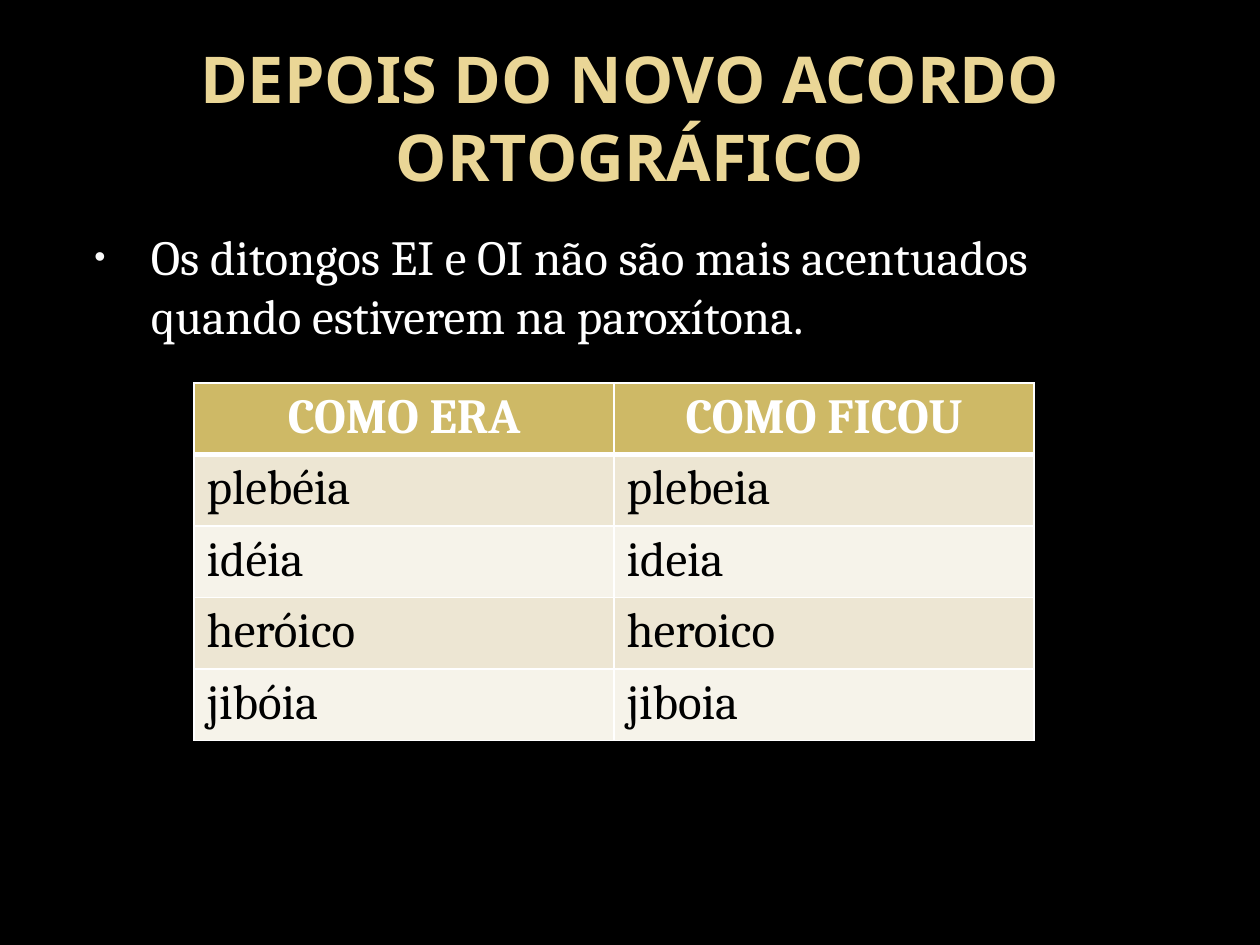
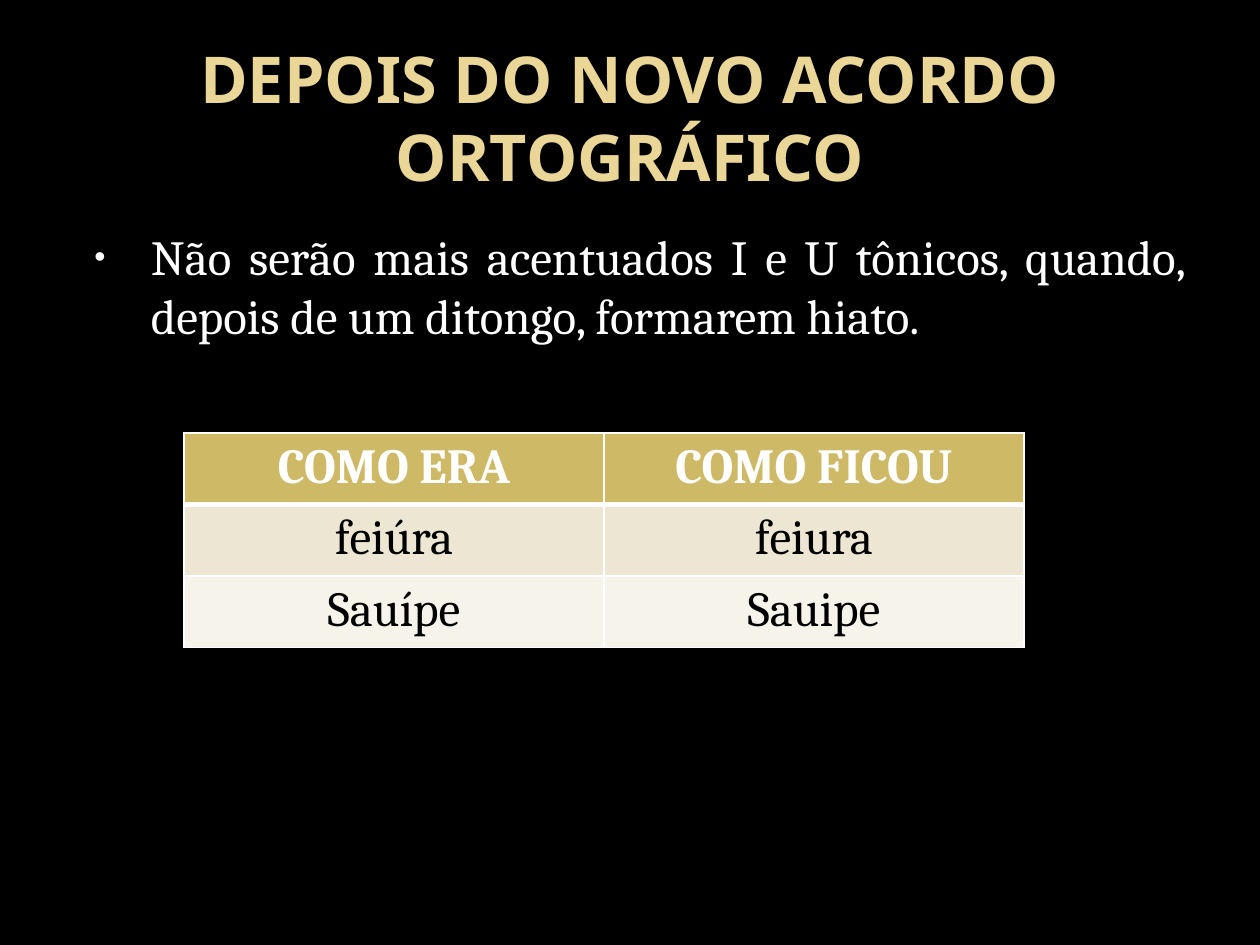
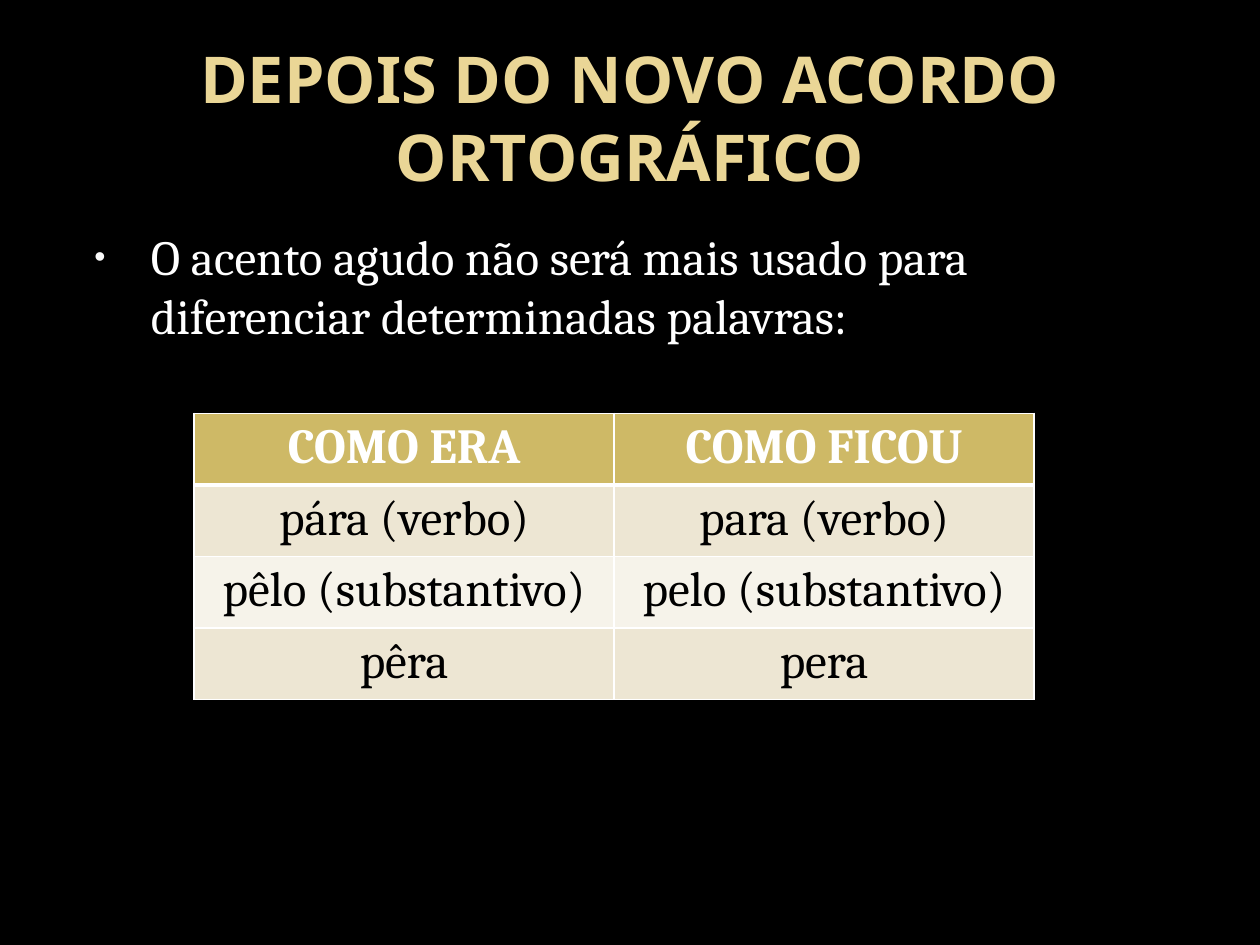
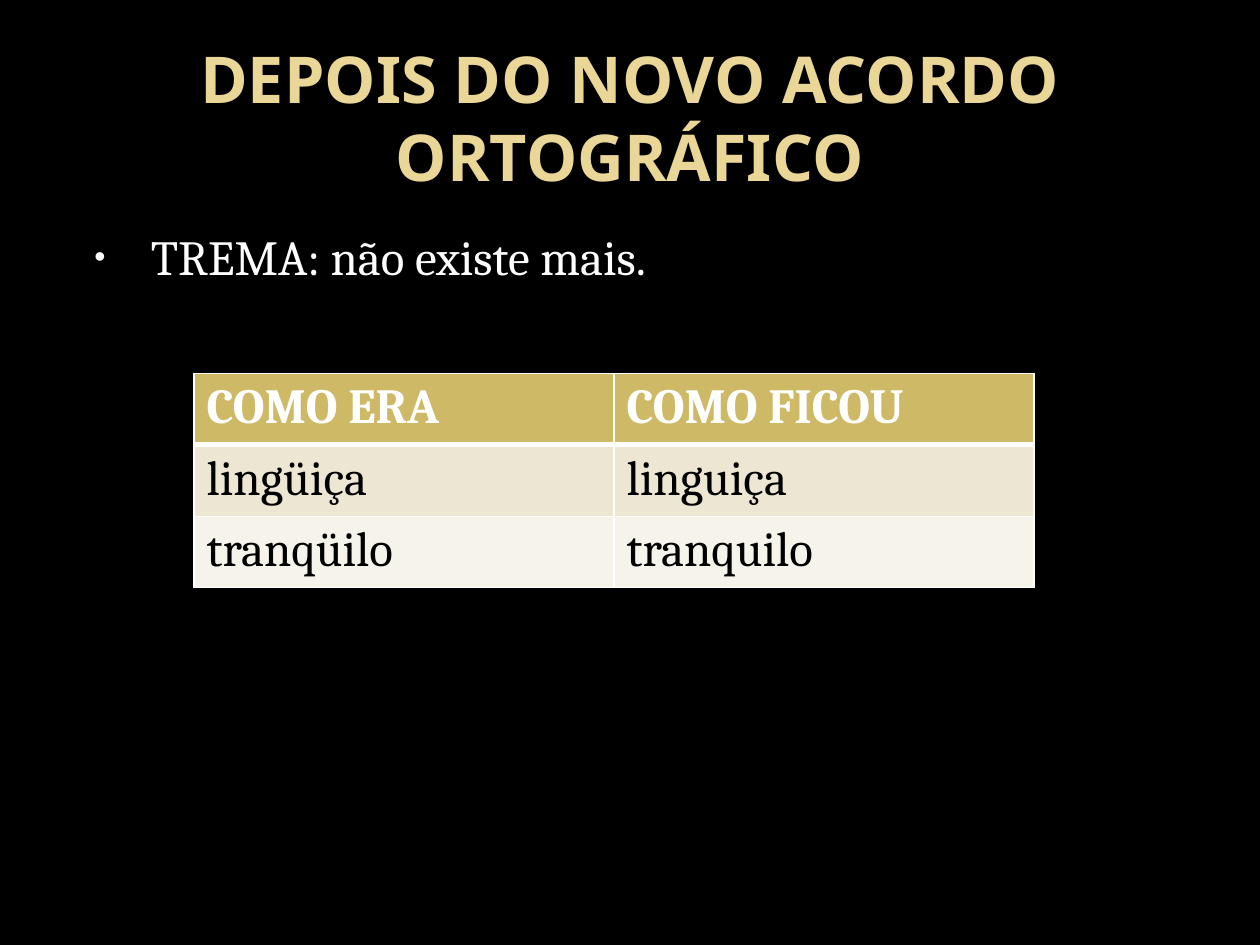
from lxml import etree
from pptx import Presentation
from pptx.dml.color import RGBColor
from pptx.enum.text import MSO_ANCHOR, PP_ALIGN
from pptx.oxml.ns import qn
from pptx.util import Pt

LEFT, CENTER, JUSTIFY = PP_ALIGN.LEFT, PP_ALIGN.CENTER, PP_ALIGN.JUSTIFY
TOP, MIDDLE = MSO_ANCHOR.TOP, MSO_ANCHOR.MIDDLE

# Content
TITLE = "DEPOIS DO NOVO ACORDO ORTOGRÁFICO"
HEADER = ("COMO ERA", "COMO FICOU")
RULES = [
    {
        "rule": "Os ditongos EI e OI não são mais acentuados quando estiverem na paroxítona.",
        "rule_align": LEFT,
        "words": [("plebéia", "plebeia"), ("idéia", "ideia"),
                  ("heróico", "heroico"), ("jibóia", "jiboia")],
        "table_at": (110.9, 218.9), "header_align": CENTER, "word_align": LEFT,
    },
    {
        "rule": "Não serão mais acentuados I e U tônicos, quando, depois de um ditongo, "
                "formarem hiato.",
        "rule_align": JUSTIFY,
        "words": [("feiúra", "feiura"), ("Sauípe", "Sauipe")],
        "table_at": (105.1, 247.5), "header_align": CENTER, "word_align": CENTER,
    },
    {
        "rule": "O acento agudo não será mais usado para diferenciar determinadas palavras:",
        "rule_align": LEFT,
        "words": [("pára (verbo)", "para (verbo)"),
                  ("pêlo (substantivo)", "pelo (substantivo)"), ("pêra", "pera")],
        "table_at": (110.9, 236.2), "header_align": CENTER, "word_align": CENTER,
    },
    {
        "rule": "TREMA: não existe mais.",
        "rule_align": LEFT,
        "words": [("lingüiça", "linguiça"), ("tranqüilo", "tranquilo")],
        "table_at": (110.9, 213.3), "header_align": LEFT, "word_align": LEFT,
    },
]

# Shared style
COLORS = {
    "background": "000000", "title": "EAD696", "text": "FFFFFF", "bullet": "F9F9F9",
    "header": "CEB966", "odd_row": "EDE6D3", "even_row": "F6F3EA",
    "word": "000000", "border": "FFFFFF",
}
TITLE_FONT, BODY_FONT = "Noto Sans", "Cambria"
TITLE_BOX = (36, 21.6, 648, 90)
RULE_BOX = (36, 126, 648, 370.8)
COLUMN_WIDTH, ROW_HEIGHT = 240, 39.4
THIN, THICK = 1, 3


def color(name):
    return RGBColor.from_string(COLORS[name])


def add_bullet(paragraph):
    properties = paragraph._p.get_or_add_pPr()
    properties.set("marL", str(Pt(43.2)))
    properties.set("indent", str(Pt(-32.4)))
    bullet_color = etree.SubElement(properties, qn("a:buClr"))
    etree.SubElement(bullet_color, qn("a:srgbClr"), val=COLORS["bullet"])
    etree.SubElement(properties, qn("a:buSzPct"), val="65000")
    etree.SubElement(properties, qn("a:buFont"), typeface="Arial")
    etree.SubElement(properties, qn("a:buChar"), char="•")


def write_text(frame, text, font=BODY_FONT, size=28, fill="text", bold=False,
               align=LEFT, anchor=TOP, bullet=False):
    frame.word_wrap = True
    frame.vertical_anchor = anchor
    paragraph = frame.paragraphs[0]
    paragraph.alignment = align
    if bullet:
        add_bullet(paragraph)
    run = paragraph.add_run()
    run.text = text
    run.font.name = font
    run.font.size = Pt(size)
    run.font.bold = bold
    run.font.color.rgb = color(fill)


def add_text_box(slide, box, text, **style):
    shape = slide.shapes.add_textbox(*map(Pt, box))
    write_text(shape.text_frame, text, **style)


def set_borders(cell, top, bottom):
    properties = cell._tc.get_or_add_tcPr()
    widths = {"a:lnL": THIN, "a:lnR": THIN, "a:lnT": top, "a:lnB": bottom}
    for position, (tag, width) in enumerate(widths.items()):
        line = etree.Element(qn(tag), w=str(Pt(width)))
        fill = etree.SubElement(line, qn("a:solidFill"))
        etree.SubElement(fill, qn("a:srgbClr"), val=COLORS["border"])
        properties.insert(position, line)


def add_word_table(slide, position, words, header_align, word_align):
    rows = [HEADER, *words]
    size = (COLUMN_WIDTH * len(HEADER), ROW_HEIGHT * len(rows))
    table = slide.shapes.add_table(len(rows), len(HEADER), *map(Pt, position + size)).table
    for row_index, row in enumerate(rows):
        is_header = row_index == 0
        row_fill = "header" if is_header else "odd_row" if row_index % 2 else "even_row"
        for column_index, text in enumerate(row):
            cell = table.cell(row_index, column_index)
            cell.fill.solid()
            cell.fill.fore_color.rgb = color(row_fill)
            set_borders(cell, top=THICK if row_index == 1 else THIN,
                        bottom=THICK if is_header else THIN)
            write_text(cell.text_frame, text, bold=is_header,
                       fill="text" if is_header else "word",
                       align=header_align if is_header else word_align)


def main():
    presentation = Presentation()
    presentation.slide_width, presentation.slide_height = Pt(720), Pt(540)
    for content in RULES:
        slide = presentation.slides.add_slide(presentation.slide_layouts[6])
        slide.background.fill.solid()
        slide.background.fill.fore_color.rgb = color("background")
        add_text_box(slide, TITLE_BOX, TITLE, font=TITLE_FONT, size=36.9, fill="title",
                     bold=True, align=CENTER, anchor=MIDDLE)
        add_text_box(slide, RULE_BOX, content["rule"], align=content["rule_align"],
                     bullet=True)
        add_word_table(slide, content["table_at"], content["words"],
                       content["header_align"], content["word_align"])
    presentation.save("out.pptx")


if __name__ == "__main__":
    main()
